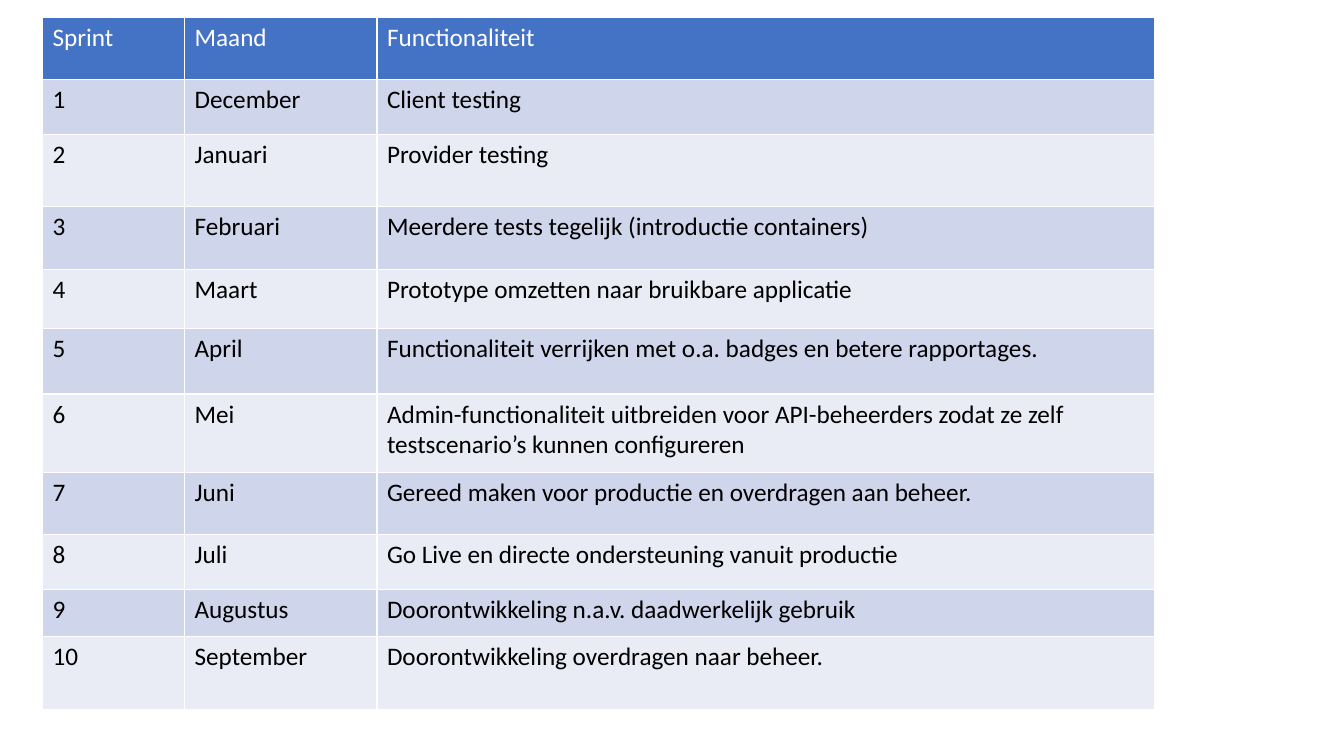
import pptx
import pptx.dml.color
import pptx.util
from pptx.util import Cm

FONT = "Calibri"
HEADER_FILL = "4472C4"
BAND_FILLS = ("CFD5EA", "E9EBF5")

COLUMN_WIDTHS = (3.58, 4.85, 19.61)
HEADERS = ("Sprint", "Maand", "Functionaliteit")
HEADER_HEIGHT = 1.55

# Month, functionality and row height in centimetres; sprints are numbered in order.
SPRINTS = (
    ("December", "Client testing", 1.4),
    ("Januari", "Provider testing", 1.8),
    ("Februari", "Meerdere tests tegelijk (introductie containers)", 1.6),
    ("Maart", "Prototype omzetten naar bruikbare applicatie", 1.48),
    ("April", "Functionaliteit verrijken met o.a. badges en betere rapportages.", 1.65),
    ("Mei", "Admin-functionaliteit uitbreiden voor API-beheerders zodat ze zelf "
            "testscenario’s kunnen configureren", 1.98),
    ("Juni", "Gereed maken voor productie en overdragen aan beheer.", 1.55),
    ("Juli", "Go Live en directe ondersteuning vanuit productie", 1.4),
    ("Augustus", "Doorontwikkeling n.a.v. daadwerkelijk gebruik", 1.19),
    ("September", "Doorontwikkeling overdragen naar beheer.", 1.83),
)


def color(hex_string):
    return pptx.dml.color.RGBColor.from_string(hex_string)


def fill_cell(cell, text, fill, text_color):
    cell.fill.solid()
    cell.fill.fore_color.rgb = color(fill)
    run = cell.text_frame.paragraphs[0].add_run()
    run.text = text
    run.font.name = FONT
    run.font.size = pptx.util.Pt(18)
    run.font.bold = False
    run.font.color.rgb = color(text_color)


def fill_row(table, index, texts, height, fill, text_color):
    table.rows[index].height = Cm(height)
    for cell, text in zip(table.rows[index].cells, texts):
        fill_cell(cell, text, fill, text_color)


def add_sprint_table(slide, left, top):
    """Add the planning table; its white grid lines come from the default table style."""
    total_height = HEADER_HEIGHT + sum(height for _, _, height in SPRINTS)
    frame = slide.shapes.add_table(
        len(SPRINTS) + 1, len(HEADERS),
        Cm(left), Cm(top), Cm(sum(COLUMN_WIDTHS)), Cm(total_height))
    table = frame.table
    for column, width in zip(table.columns, COLUMN_WIDTHS):
        column.width = Cm(width)

    fill_row(table, 0, HEADERS, HEADER_HEIGHT, HEADER_FILL, "FFFFFF")
    for number, (month, functionality, height) in enumerate(SPRINTS, start=1):
        band_fill = BAND_FILLS[(number - 1) % 2]
        fill_row(table, number, (str(number), month, functionality),
                 height, band_fill, "000000")


def main():
    presentation = pptx.Presentation()
    presentation.slide_width = Cm(33.87)
    presentation.slide_height = Cm(19.05)
    slide = presentation.slides.add_slide(presentation.slide_layouts[6])
    add_sprint_table(slide, left=1.07, top=0.45)
    presentation.save("out.pptx")


if __name__ == "__main__":
    main()
